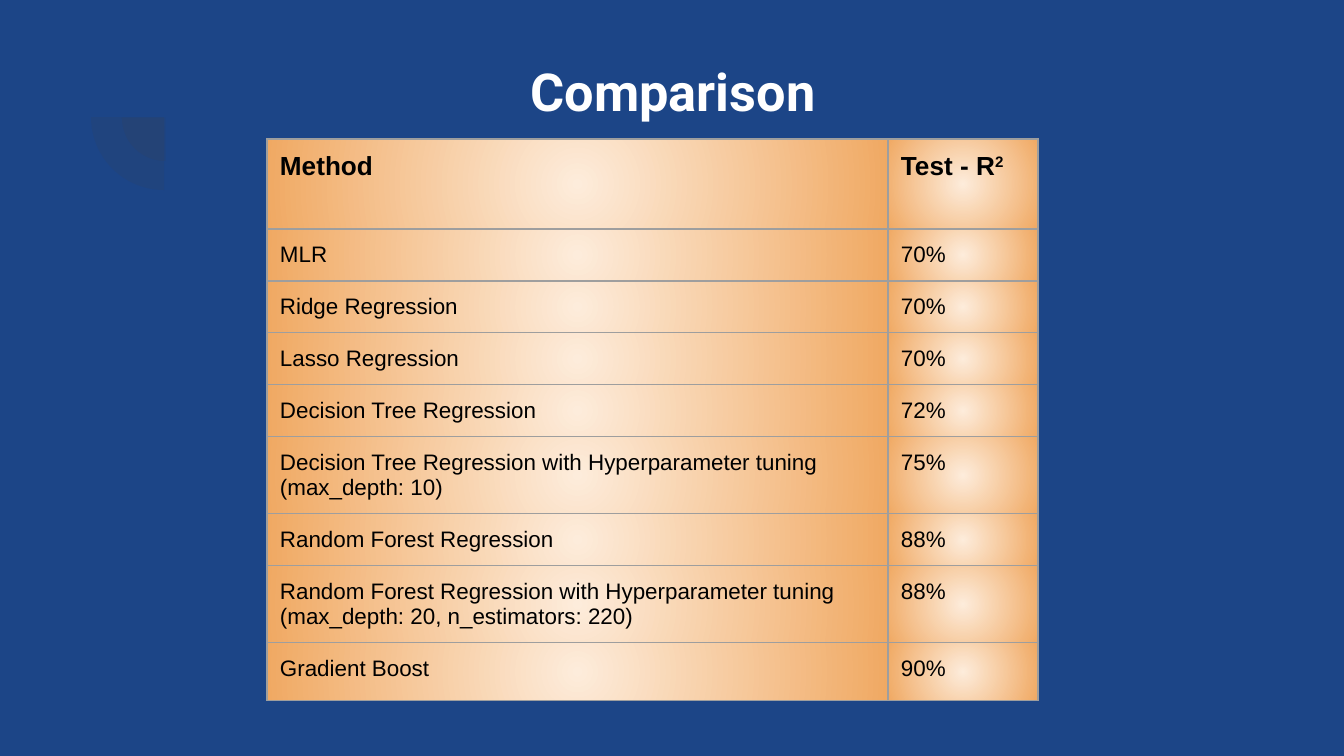
from dataclasses import dataclass

from lxml.etree import SubElement
from pptx import Presentation
from pptx.dml.color import RGBColor
from pptx.enum.shapes import MSO_SHAPE
from pptx.enum.text import MSO_ANCHOR, MSO_AUTO_SIZE, PP_ALIGN
from pptx.oxml import parse_xml
from pptx.oxml.ns import nsdecls, qn
from pptx.slide import Slide
from pptx.table import _Cell
from pptx.util import Emu, Pt

PX_PER_INCH = 134.4


@dataclass(frozen=True)
class Theme:
    background: str = "1C4587"
    title: str = "FFFFFF"
    text: str = "000000"
    ornament: str = "424242"
    ornament_alpha: int = 13
    cell_center: str = "FDECDB"
    cell_edge: str = "F0A963"
    border: str = "9E9E9E"
    border_width: float = 0.75
    title_font: str = "Roboto"
    body_font: str = "Arial"
    title_size: int = 28
    header_size: int = 14
    body_size: int = 12


@dataclass(frozen=True)
class Pie:
    left: int
    top: int
    size: int


@dataclass(frozen=True)
class Result:
    method: str
    score: str
    height: int = 52


THEME = Theme()
INSET = 13
HEADER_HEIGHT = 90
COLUMN_WIDTHS = (621, 150)
PIES = (Pie(122, 74, 87), Pie(91, 44, 146))
RESULTS = (
    Result("MLR", "70%"),
    Result("Ridge Regression", "70%"),
    Result("Lasso Regression", "70%"),
    Result("Decision Tree Regression", "72%"),
    Result("Decision Tree Regression with Hyperparameter tuning (max_depth: 10)", "75%", 77),
    Result("Random Forest Regression", "88%"),
    Result(
        "Random Forest Regression with Hyperparameter tuning (max_depth: 20, n_estimators: 220)",
        "88%",
        77,
    ),
    Result("Gradient Boost", "90%", 58),
)


def px(length: int) -> Emu:
    return Emu(round(length * 914400 / PX_PER_INCH))


def color(value: str) -> RGBColor:
    return RGBColor.from_string(value)


def draw_pie(page: Slide, pie: Pie) -> None:
    shape = page.shapes.add_shape(
        MSO_SHAPE.PIE, px(pie.left), px(pie.top), px(pie.size), px(pie.size)
    )
    shape.adjustments[0] = 107.93
    shape.adjustments[1] = 162
    shape.rotation = 270
    shape.shadow.inherit = False
    shape.line.fill.background()
    shape.fill.solid()
    shape.fill.fore_color.rgb = color(THEME.ornament)
    tint = shape._element.spPr.find(qn("a:solidFill"))[0]
    SubElement(tint, qn("a:alpha"), val=str(THEME.ornament_alpha * 1000))


def draw_title(page: Slide, text: str) -> None:
    box = page.shapes.title
    page.shapes._spTree.append(box._element)
    box.left, box.top, box.width, box.height = px(156), px(46), px(1034), px(146)
    frame = box.text_frame
    frame.text = text
    frame.word_wrap = True
    frame.auto_size = MSO_AUTO_SIZE.NONE
    frame.vertical_anchor = MSO_ANCHOR.TOP
    frame.margin_left = frame.margin_right = px(INSET)
    frame.margin_top = frame.margin_bottom = px(INSET)
    para = frame.paragraphs[0]
    para.alignment = PP_ALIGN.CENTER
    para.font.name = THEME.title_font
    para.font.size = Pt(THEME.title_size)
    para.font.bold = True
    para.font.color.rgb = color(THEME.title)


def style_cell(cell: _Cell) -> None:
    cell.margin_left = cell.margin_right = px(INSET)
    cell.margin_top = cell.margin_bottom = px(INSET)
    properties = cell._tc.get_or_add_tcPr()
    for side in ("lnL", "lnR", "lnT", "lnB"):
        properties.append(parse_xml(
            f'<a:{side} {nsdecls("a")} w="{Pt(THEME.border_width)}">'
            f'<a:solidFill><a:srgbClr val="{THEME.border}"/></a:solidFill></a:{side}>'
        ))
    properties.append(parse_xml(
        f'<a:gradFill {nsdecls("a")}><a:gsLst>'
        f'<a:gs pos="0"><a:srgbClr val="{THEME.cell_center}"/></a:gs>'
        f'<a:gs pos="100000"><a:srgbClr val="{THEME.cell_edge}"/></a:gs></a:gsLst>'
        '<a:path path="circle"><a:fillToRect l="50000" t="50000" r="50000" b="50000"/></a:path>'
        '</a:gradFill>'
    ))


def fill_cell(cell: _Cell, text: str, size: int, bold: bool) -> None:
    style_cell(cell)
    cell.text = text
    para = cell.text_frame.paragraphs[0]
    para.font.name = THEME.body_font
    para.font.size = Pt(size)
    para.font.bold = bold
    para.font.color.rgb = color(THEME.text)


def draw_table(page: Slide, results: tuple[Result, ...]) -> None:
    rows = (Result("Method", "Test - R", HEADER_HEIGHT), *results)
    table = page.shapes.add_table(
        len(rows), len(COLUMN_WIDTHS), px(267), px(139),
        px(sum(COLUMN_WIDTHS)), px(sum(row.height for row in rows)),
    ).table
    table.first_row = table.horz_banding = False
    for column, width in zip(table.columns, COLUMN_WIDTHS):
        column.width = px(width)
    for index, row in enumerate(rows):
        table.rows[index].height = px(row.height)
        is_header = index == 0
        size = THEME.header_size if is_header else THEME.body_size
        for column, text in enumerate((row.method, row.score)):
            fill_cell(table.cell(index, column), text, size, is_header)
    exponent = table.cell(0, 1).text_frame.paragraphs[0].add_run()
    exponent.text = "2"
    exponent.font._element.set("baseline", "30000")


def main() -> None:
    deck = Presentation()
    deck.slide_width, deck.slide_height = px(1344), px(756)
    page = deck.slides.add_slide(deck.slide_layouts[5])
    page.background.fill.solid()
    page.background.fill.fore_color.rgb = color(THEME.background)
    for pie in PIES:
        draw_pie(page, pie)
    draw_title(page, "Comparison")
    draw_table(page, RESULTS)
    deck.save("out.pptx")


if __name__ == "__main__":
    main()
